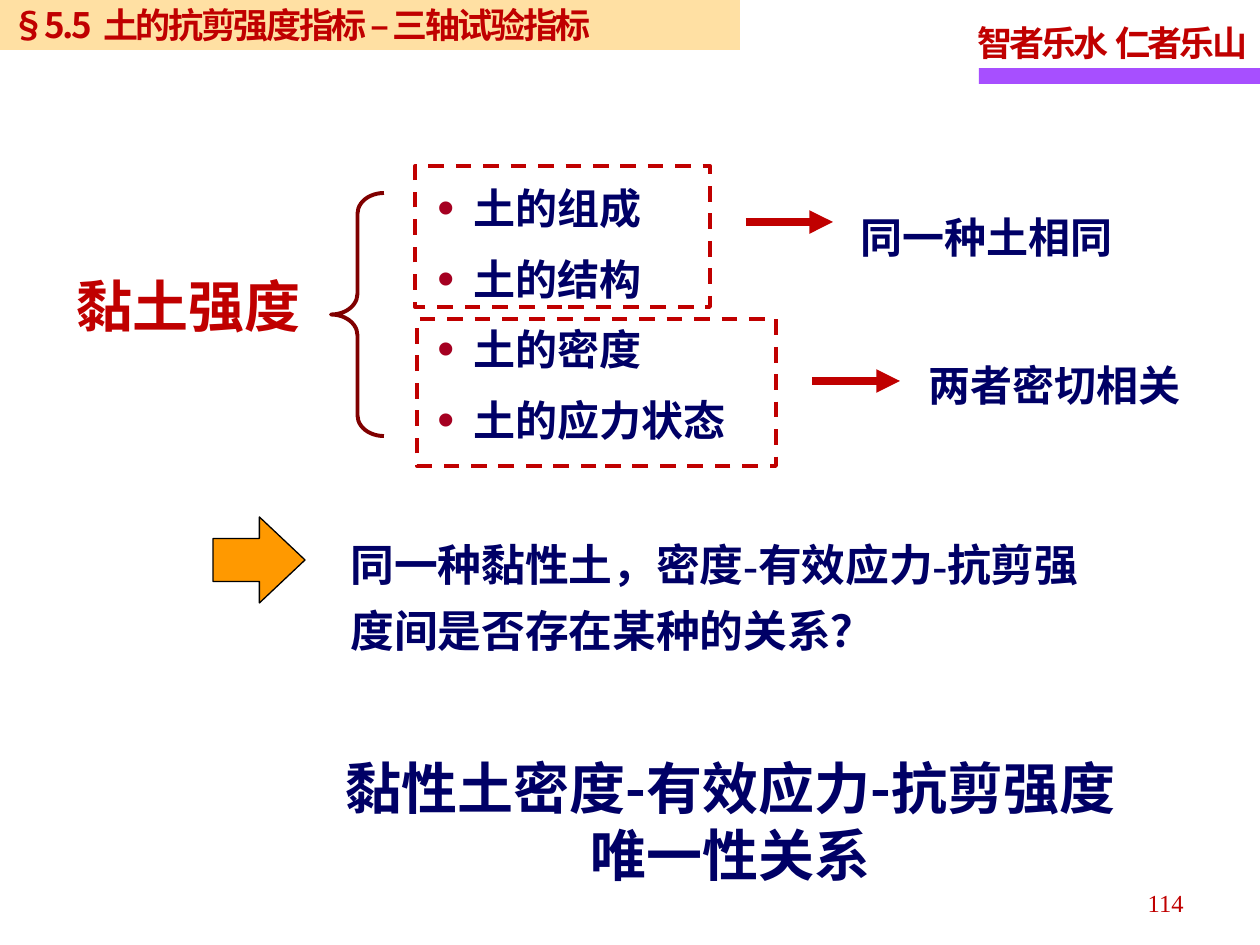
from lxml.etree import SubElement
from pptx import Presentation
from pptx.dml.color import RGBColor
from pptx.enum.dml import MSO_LINE_DASH_STYLE as Dash
from pptx.enum.shapes import MSO_CONNECTOR as Link, MSO_SHAPE as Preset
from pptx.enum.text import MSO_ANCHOR as Anchor, PP_ALIGN as Align
from pptx.oxml.ns import qn
from pptx.util import Pt

PX = 914400 / 126  # EMU in one px
NOTO, TIMES = "Noto Sans CJK SC", "Times New Roman"
COLORS = {"red": "C00000", "navy": "000066", "purple": "A74FFF", "sand": "FFCC66",
          "orange": "FF9900", "black": "000000", "maroon": "800000", "bullet": "A50021"}

# Content: places are left, top, width, height in px
TITLE = "§5.5  土的抗剪强度指标 – 三轴试验指标"
FACTORS = ["土的组成", "土的结构", "土的密度", "土的应力状态"]
TEXTS = [
    (["智者乐水  仁者乐山"], (965, 9, 302, 62),
     dict(size=20, color="red", spc=-170, spacing=1.15, wrap=False)),
    (["114"], (902, 877, 294, 50),
     dict(size=14, color="red", bold=False, align=Align.RIGHT, spacing=1.15)),
    (["同一种黏性土，密度-有效应力-抗剪强度间是否存在某种的关系？"], (338, 519, 755, 139),
     dict(size=25, spacing=1.25)),
    (["黏土强度"], (64, 265, 263, 81), dict(size=32, color="red", font=NOTO)),
    (FACTORS, (425, 169, 378, 287), dict(spacing=1.15, gap=3.6, bullet=True)),
    (["同一种土相同"], (848, 193, 300, 69), dict(spacing=1.25)),
    (["两者密切相关"], (916, 341, 300, 69), dict(spacing=1.25)),
    (["黏性土密度-有效应力-抗剪强度\v唯一性关系"], (275, 753, 911, 136),
     dict(size=32, font=NOTO, align=Align.CENTER, anchor=Anchor.MIDDLE, inset=False)),
]
SHAPES = [
    (Preset.RECTANGLE, (979, 68, 281, 16), dict(fill="purple")),
    (Preset.RIGHT_ARROW, (213, 517, 92, 86),
     dict(fill="orange", line="black", width=0.75, adjust=(0.5, 0.53))),
    (Preset.LEFT_BRACE, (331, 193, 53, 243),
     dict(line="maroon", width=2.25, adjust=(0.39, 0.5))),
    (Preset.RECTANGLE, (415, 166, 295, 141), dict(line="red", width=2.25, dash=Dash.DASH)),
    (Preset.RECTANGLE, (417, 319, 359, 147), dict(line="red", width=2.25, dash=Dash.DASH)),
]
ARROWS = [(746, 222, 833), (812, 381, 900)]  # from x, y, to x


def emu(*lengths):
    return [round(length * PX) for length in lengths]


def rgb(name):
    return RGBColor.from_string(COLORS[name])


def add_bullet(para):
    props = para._p.get_or_add_pPr()
    indent = str(emu(36)[0])
    props.set("marL", indent)
    props.set("indent", "-" + indent)
    color = SubElement(props, qn("a:buClr"))
    SubElement(color, qn("a:srgbClr"), val=COLORS["bullet"])
    SubElement(props, qn("a:buSzPct"), val="115000")
    SubElement(props, qn("a:buFont"), typeface="Arial")
    SubElement(props, qn("a:buChar"), char="•")


def write(frame, lines, size=24, color="navy", font=TIMES, bold=True, align=Align.LEFT,
          spacing=1.0, gap=0, spc=0, bullet=False, wrap=True, anchor=Anchor.TOP, inset=True):
    frame.word_wrap, frame.vertical_anchor = wrap, anchor
    if not inset:
        for side in ("left", "right", "top", "bottom"):
            setattr(frame, "margin_" + side, 0)
    for index, line in enumerate(lines):
        para = frame.add_paragraph() if index else frame.paragraphs[0]
        para.text = line
        layout = dict(alignment=align, line_spacing=spacing,
                      space_before=Pt(gap if index else 0), space_after=Pt(gap))
        for name, value in layout.items():
            setattr(para, name, value)
        if bullet:
            add_bullet(para)
        for span in para.runs:
            for name, value in dict(name=font, size=Pt(size), bold=bold).items():
                setattr(span.font, name, value)
            span.font.color.rgb = rgb(color)
            props = span._r.get_or_add_rPr()
            SubElement(props, qn("a:ea"), typeface=NOTO)
            if spc:
                props.set("spc", str(spc))


def add_shape(page, preset, place, fill=None, line=None, width=1, dash=None, adjust=()):
    shape = page.shapes.add_shape(preset, *emu(*place))
    shape.shadow.inherit = False
    if fill:
        shape.fill.solid()
        shape.fill.fore_color.rgb = rgb(fill)
    else:
        shape.fill.background()
    if line:
        shape.line.color.rgb = rgb(line)
        shape.line.width = Pt(width)
        if dash:
            shape.line.dash_style = dash
    else:
        shape.line.fill.background()
    for index, value in enumerate(adjust):
        shape.adjustments[index] = value


def add_arrow(page, left, y, right):
    arrow = page.shapes.add_connector(Link.STRAIGHT, *emu(left, y, right, y))
    arrow.line.color.rgb = rgb("red")
    arrow.line.width = Pt(4.5)
    SubElement(arrow.line._get_or_add_ln(), qn("a:tailEnd"), type="triangle")
    SubElement(arrow._element.spPr, qn("a:effectLst"))


def main():
    deck = Presentation()
    deck.slide_width, deck.slide_height = emu(1260, 945)
    page = deck.slides.add_slide(deck.slide_layouts[5])

    # Section title on a translucent band
    title = page.shapes.title
    title.left, title.top, title.width, title.height = emu(-1, 0, 741, 50)
    title.fill.solid()
    title.fill.fore_color.rgb = rgb("sand")
    tint = title._element.spPr.find(qn("a:solidFill"))[0]
    SubElement(tint, qn("a:alpha"), val="60000")
    write(title.text_frame, [TITLE], size=20, color="red", font=NOTO, spc=-140,
          anchor=Anchor.MIDDLE)

    # Bars, brace and frames, then arrows, then text
    for preset, place, style in SHAPES:
        add_shape(page, preset, place, **style)
    for ends in ARROWS:
        add_arrow(page, *ends)
    for lines, place, style in TEXTS:
        box = page.shapes.add_textbox(*emu(*place))
        write(box.text_frame, lines, **style)

    deck.save("out.pptx")


if __name__ == "__main__":
    main()
